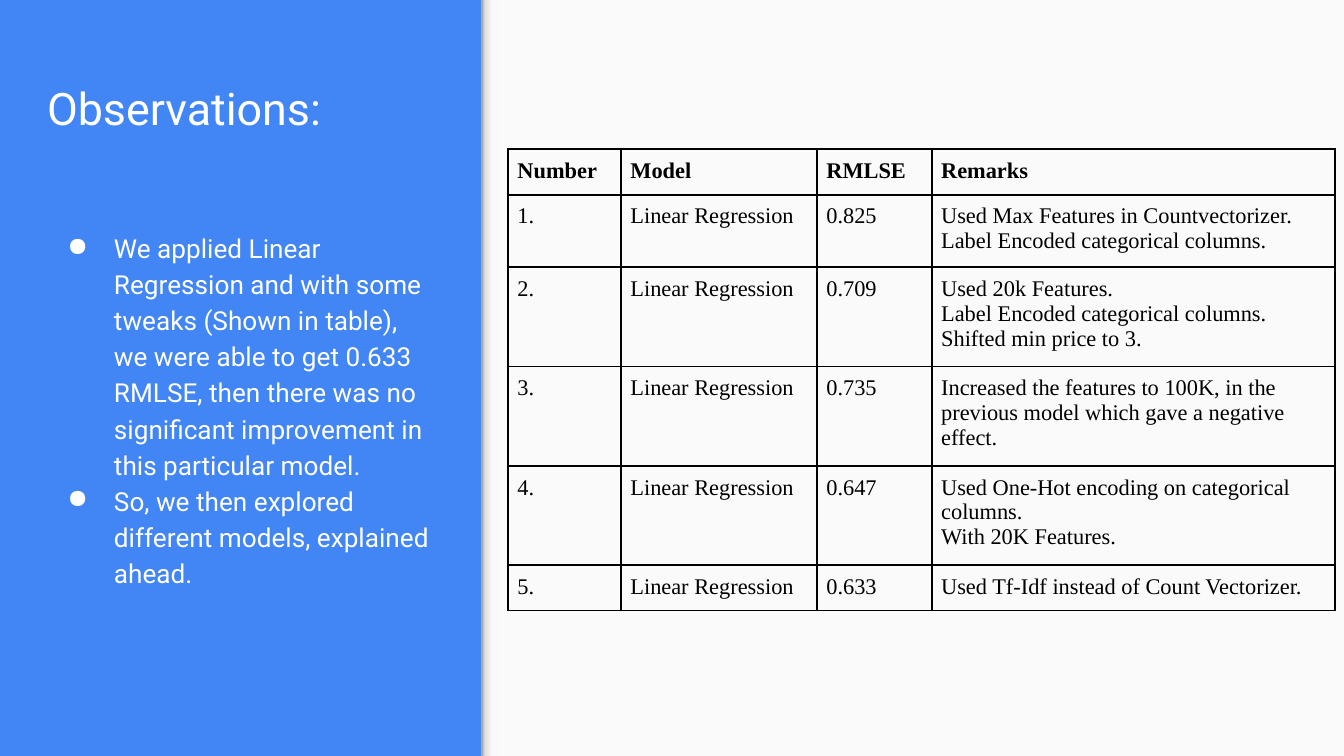
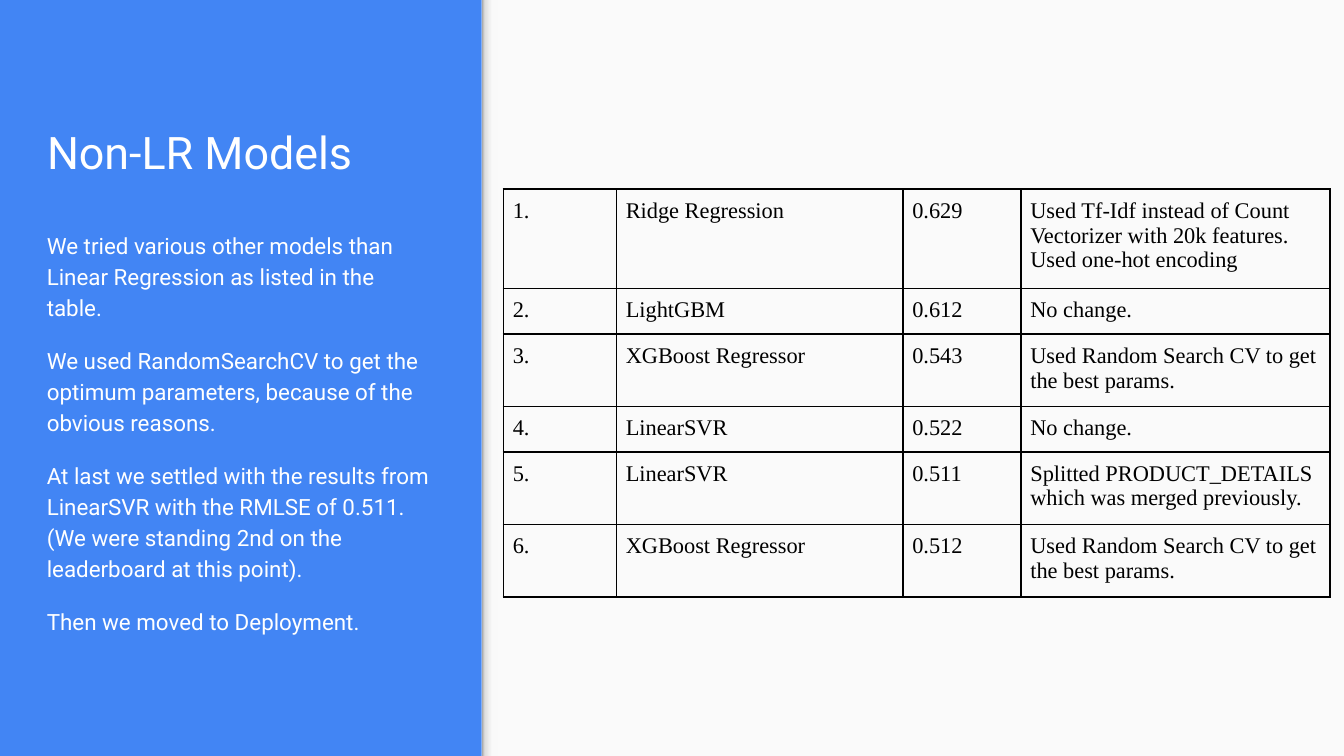
"""Build two slides that compare regression models in a side panel and a table."""
from lxml import etree
from pptx import Presentation
from pptx.dml.color import RGBColor
from pptx.enum.shapes import MSO_SHAPE
from pptx.enum.text import MSO_ANCHOR, MSO_AUTO_SIZE, PP_ALIGN
from pptx.oxml import parse_xml
from pptx.oxml.ns import nsdecls, qn
from pptx.util import Pt

RECTANGLE = MSO_SHAPE.RECTANGLE
LEFT = PP_ALIGN.LEFT
TOP, BOTTOM = MSO_ANCHOR.TOP, MSO_ANCHOR.BOTTOM
NO_AUTOFIT = MSO_AUTO_SIZE.NONE

COLORS = {"panel": "4285F4", "page": "FAFAFA", "light": "FFFFFF", "ink": "000000"}
SHADE_STOPS = [(0, "999999"), (20, "DEDEDE"), (64, "F9F9F9"), (100, "F9F9F9")]
SANS, SERIF = "Roboto", "Times New Roman"

SLIDE_WIDTH, SLIDE_HEIGHT = 720, 405
PANEL_WIDTH, SHADE_WIDTH = 258, 9
TEXT_LEFT, TEXT_WIDTH = 18, 221
TITLE_TOP = 28
BODY_TOP, BODY_HEIGHT = 115, 249
BODY_INSET, CELL_INSET = 7.2, 5
MIN_ROW_HEIGHT = 1

SLIDES = [
    {
        "title": "Observations:",
        "title_height": 51,
        "body": [
            "We applied Linear Regression and with some tweaks (Shown in table), we were able "
            "to get 0.633 RMLSE, then there was no significant improvement in this particular model.",
            "So, we then explored different models, explained ahead.",
        ],
        "body_format": {"size": 14, "bullet": "●"},
        "table_at": (272.25, 79.9),
        "columns": [60.5, 105, 61.5, 216],
        "header": ["Number", "Model", "RMLSE", "Remarks"],
        "models": [
            ("Linear Regression", "0.825",
             ["Used Max Features in Countvectorizer.", "Label Encoded categorical columns."]),
            ("Linear Regression", "0.709",
             ["Used 20k Features.", "Label Encoded categorical columns.",
              "Shifted min price to 3."]),
            ("Linear Regression", "0.735",
             ["Increased the features to 100K, in the previous model which gave a negative effect."]),
            ("Linear Regression", "0.647",
             ["Used One-Hot encoding on categorical columns.", "With 20K Features."]),
            ("Linear Regression", "0.633", ["Used Tf-Idf instead of Count Vectorizer."]),
        ],
    },
    {
        "title": "Non-LR Models",
        "title_height": 75,
        "body": [
            "We tried various other models than Linear Regression as listed in the table.",
            "We used RandomSearchCV to get the optimum parameters, because of the obvious reasons.",
            "At last we settled with the results from LinearSVR with the RMLSE of 0.511. "
            "(We were standing 2nd on the leaderboard at this point).",
            "Then we moved to Deployment.",
        ],
        "body_format": {"size": 12, "gap": 12},
        "table_at": (269.75, 101.25),
        "columns": [60.5, 153.5, 63.25, 165.5],
        "header": None,
        "models": [
            ("Ridge Regression", "0.629",
             ["Used Tf-Idf instead of Count Vectorizer with 20k features.",
              "Used one-hot encoding"]),
            ("LightGBM", "0.612", ["No change."]),
            ("XGBoost Regressor", "0.543", ["Used Random Search CV to get the best params."]),
            ("LinearSVR", "0.522", ["No change."]),
            ("LinearSVR", "0.511", ["Splitted PRODUCT_DETAILS which was merged previously."]),
            ("XGBoost Regressor", "0.512", ["Used Random Search CV to get the best params."]),
        ],
    },
]


def rgb(name):
    return RGBColor.from_string(COLORS[name])


def write(frame, paragraphs, size, font=SANS, color="light", bold=False,
          spacing=1.0, gap=0, bullet=None, inset=BODY_INSET, anchor=TOP):
    frame.word_wrap = True
    frame.vertical_anchor = anchor
    frame.margin_left = frame.margin_right = Pt(inset)
    frame.margin_top = frame.margin_bottom = Pt(inset)
    for index, text in enumerate(paragraphs):
        paragraph = frame.add_paragraph() if index else frame.paragraphs[0]
        paragraph.alignment = LEFT
        paragraph.line_spacing = spacing
        paragraph.space_before = Pt(gap if index else 0)
        run = paragraph.add_run()
        run.text = text
        run.font.size, run.font.name, run.font.bold = Pt(size), font, bold
        run.font.color.rgb = rgb(color)
        if bullet:
            properties = paragraph._p.get_or_add_pPr()
            properties.set("marL", str(Pt(36)))
            properties.set("indent", str(-Pt(25)))
            etree.SubElement(properties, qn("a:buChar")).set("char", bullet)


def add_block(slide, left, width):
    block = slide.shapes.add_shape(RECTANGLE, Pt(left), 0, Pt(width), Pt(SLIDE_HEIGHT))
    block.shadow.inherit = False
    block.line.fill.background()
    block.fill.solid()
    block.fill.fore_color.rgb = rgb("page")
    return block


def add_page(slide):
    add_block(slide, PANEL_WIDTH, SLIDE_WIDTH - PANEL_WIDTH)
    shade = add_block(slide, PANEL_WIDTH, SHADE_WIDTH)
    stops = "".join(f'<a:gs pos="{percent * 1000}"><a:srgbClr val="{color}"/></a:gs>'
                    for percent, color in SHADE_STOPS)
    gradient = parse_xml(f'<a:gradFill {nsdecls("a")}><a:gsLst>{stops}</a:gsLst>'
                         '<a:lin ang="0" scaled="0"/></a:gradFill>')
    properties = shade._element.spPr
    properties.replace(properties.find(qn("a:solidFill")), gradient)


def outline(cell):
    properties = cell._tc.get_or_add_tcPr()
    for index, side in enumerate("LRTB"):
        properties.insert(index, parse_xml(
            f'<a:ln{side} {nsdecls("a")} w="{Pt(1)}"><a:solidFill>'
            f'<a:srgbClr val="{COLORS["ink"]}"/></a:solidFill></a:ln{side}>'))


def add_results(slide, content):
    header, columns = content["header"], content["columns"]
    rows = [[[label] for label in header]] if header else []
    rows += [[[f"{number}."], [model], [score], remarks]
             for number, (model, score, remarks) in enumerate(content["models"], 1)]
    left, top = content["table_at"]
    results = slide.shapes.add_table(
        len(rows), len(columns), Pt(left), Pt(top),
        Pt(sum(columns)), Pt(MIN_ROW_HEIGHT * len(rows))).table
    results.first_row = results.horz_banding = False
    for column, width in zip(results.columns, columns):
        column.width = Pt(width)
    for row_index, row in enumerate(rows):
        results.rows[row_index].height = Pt(MIN_ROW_HEIGHT)
        for column_index, lines in enumerate(row):
            cell = results.cell(row_index, column_index)
            cell.fill.background()
            cell.margin_left = cell.margin_right = Pt(CELL_INSET)
            cell.margin_top = cell.margin_bottom = Pt(CELL_INSET)
            write(cell.text_frame, lines, 12, font=SERIF, color="ink", inset=CELL_INSET,
                  bold=bool(header) and row_index == 0)
            outline(cell)


def add_slide(deck, content):
    slide = deck.slides.add_slide(deck.slide_layouts[5])
    slide.background.fill.solid()
    slide.background.fill.fore_color.rgb = rgb("panel")
    add_page(slide)
    title = slide.shapes.title
    title.left, title.top = Pt(TEXT_LEFT), Pt(TITLE_TOP)
    title.width, title.height = Pt(TEXT_WIDTH), Pt(content["title_height"])
    title.text_frame.auto_size = NO_AUTOFIT
    write(title.text_frame, [content["title"]], 24, anchor=BOTTOM)
    body = slide.shapes.add_textbox(
        Pt(TEXT_LEFT), Pt(BODY_TOP), Pt(TEXT_WIDTH), Pt(BODY_HEIGHT))
    write(body.text_frame, content["body"], spacing=1.15, **content["body_format"])
    add_results(slide, content)


def main():
    deck = Presentation()
    deck.slide_width, deck.slide_height = Pt(SLIDE_WIDTH), Pt(SLIDE_HEIGHT)
    for content in SLIDES:
        add_slide(deck, content)
    deck.save("out.pptx")


if __name__ == "__main__":
    main()
